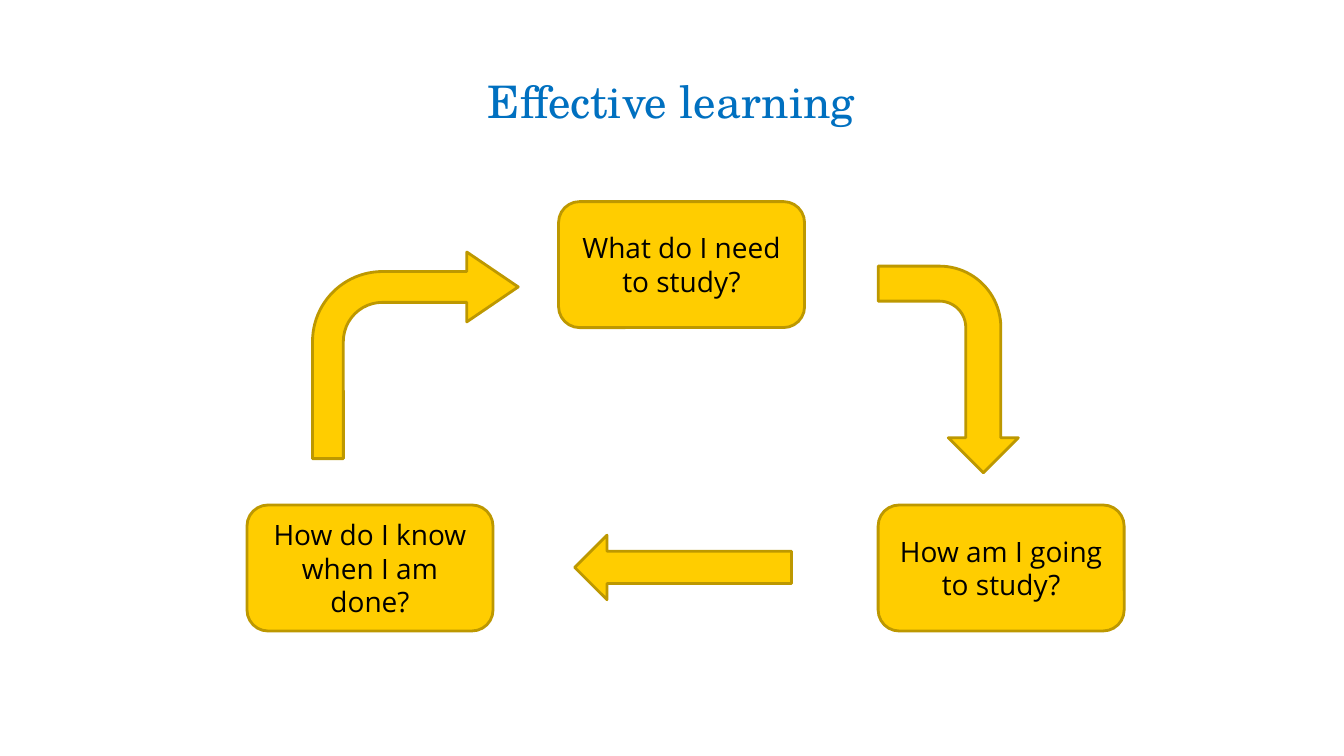
import pptx
import pptx.dml.color
import pptx.enum.shapes
import pptx.enum.text
import pptx.util

PX = 9144  # EMU per px, 100 px to the inch
SHAPES = pptx.enum.shapes.MSO_SHAPE


def color(hex_text):
    return pptx.dml.color.RGBColor.from_string(hex_text)


def lengths(*pixels):
    return [pptx.util.Emu(value * PX) for value in pixels]


class CyclePage:
    title_font, title_color, title_size = "TeX Gyre Schola", "0070C0", 32
    body_font, body_color, body_size = "Open Sans", "000000", 20
    fill, outline, outline_width = "FFCD00", "BD9800", 2

    def __init__(self, deck):
        self.page = deck.slides.add_slide(deck.slide_layouts[5])

    def set_label(self, shape, text, font, size, ink):
        """Put centred text in the middle of a shape."""
        frame = shape.text_frame
        frame.text = text
        frame.word_wrap = True
        frame.vertical_anchor = pptx.enum.text.MSO_ANCHOR.MIDDLE
        para = frame.paragraphs[0]
        para.alignment = pptx.enum.text.PP_ALIGN.CENTER
        span = para.runs[0]
        span.font.name = font
        span.font.size = pptx.util.Pt(size)
        span.font.color.rgb = color(ink)

    def title(self, text, left, top, width, height):
        box = self.page.shapes.title
        box.left, box.top, box.width, box.height = lengths(left, top, width, height)
        self.set_label(box, text, self.title_font, self.title_size, self.title_color)

    def shape(self, kind, left, top, width, height):
        shape = self.page.shapes.add_shape(kind, *lengths(left, top, width, height))
        shape.shadow.inherit = False
        shape.fill.solid()
        shape.fill.fore_color.rgb = color(self.fill)
        shape.line.color.rgb = color(self.outline)
        shape.line.width = pptx.util.Pt(self.outline_width)
        return shape

    def question(self, text, left, top):
        box = self.shape(SHAPES.ROUNDED_RECTANGLE, left, top, 244, 125)
        self.set_label(box, text, self.body_font, self.body_size, self.body_color)

    def arrow(self, kind, left, top, width, height, rotation=0, adjustments=()):
        arrow = self.shape(kind, left, top, width, height)
        arrow.rotation = rotation
        for index, value in enumerate(adjustments):
            arrow.adjustments[index] = value


def main():
    deck = pptx.Presentation()
    deck.slide_width, deck.slide_height = lengths(1333, 750)

    cycle = CyclePage(deck)
    cycle.title("Effective learning", 288, 68, 756, 64)
    cycle.question("What do I need to study?", 554, 200)
    cycle.arrow(SHAPES.BENT_ARROW, 838, 297, 205, 139, rotation=90)
    cycle.question("How am I going to study?", 871, 501)
    cycle.arrow(SHAPES.LEFT_ARROW, 570, 531, 215, 64)
    cycle.question("How do I know when I am done?", 245, 501)
    cycle.arrow(SHAPES.BENT_ARROW, 310, 250, 204, 205,
                adjustments=(0.15, 0.17, 0.25, 0.34))

    deck.save("out.pptx")


if __name__ == "__main__":
    main()
